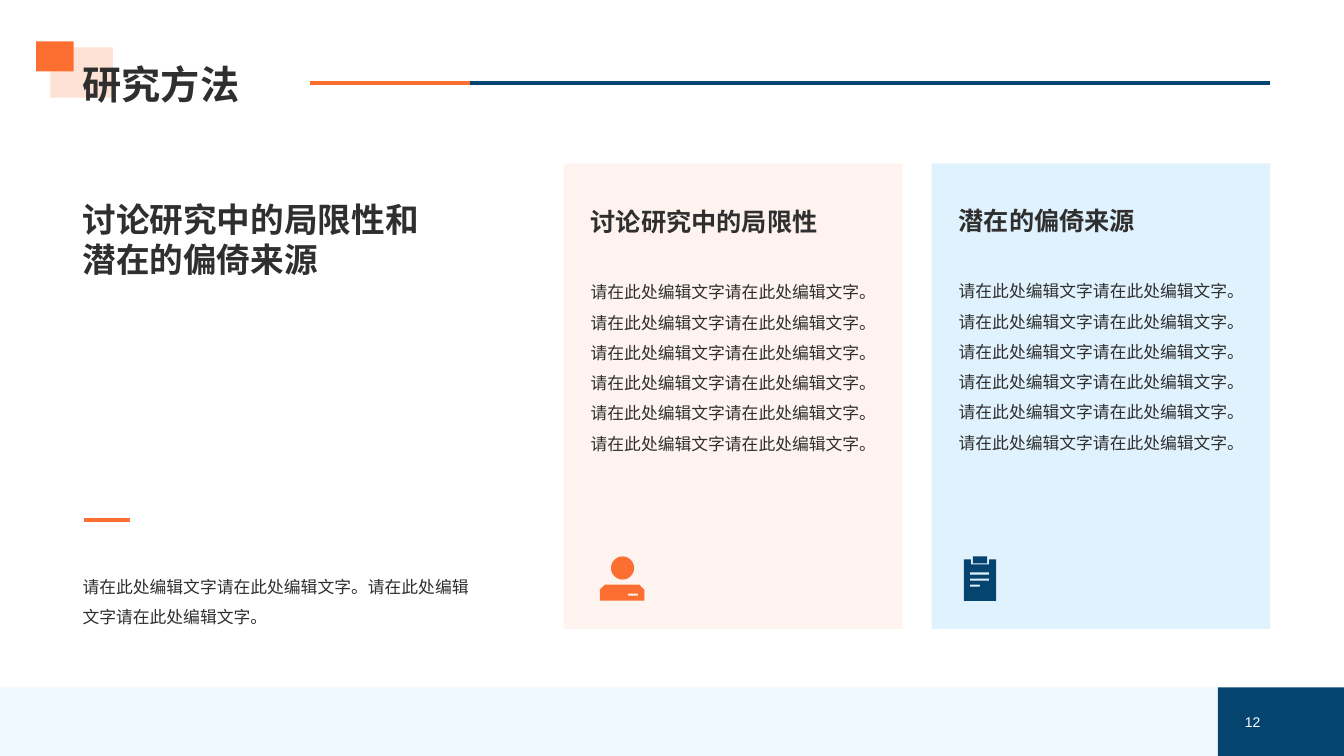
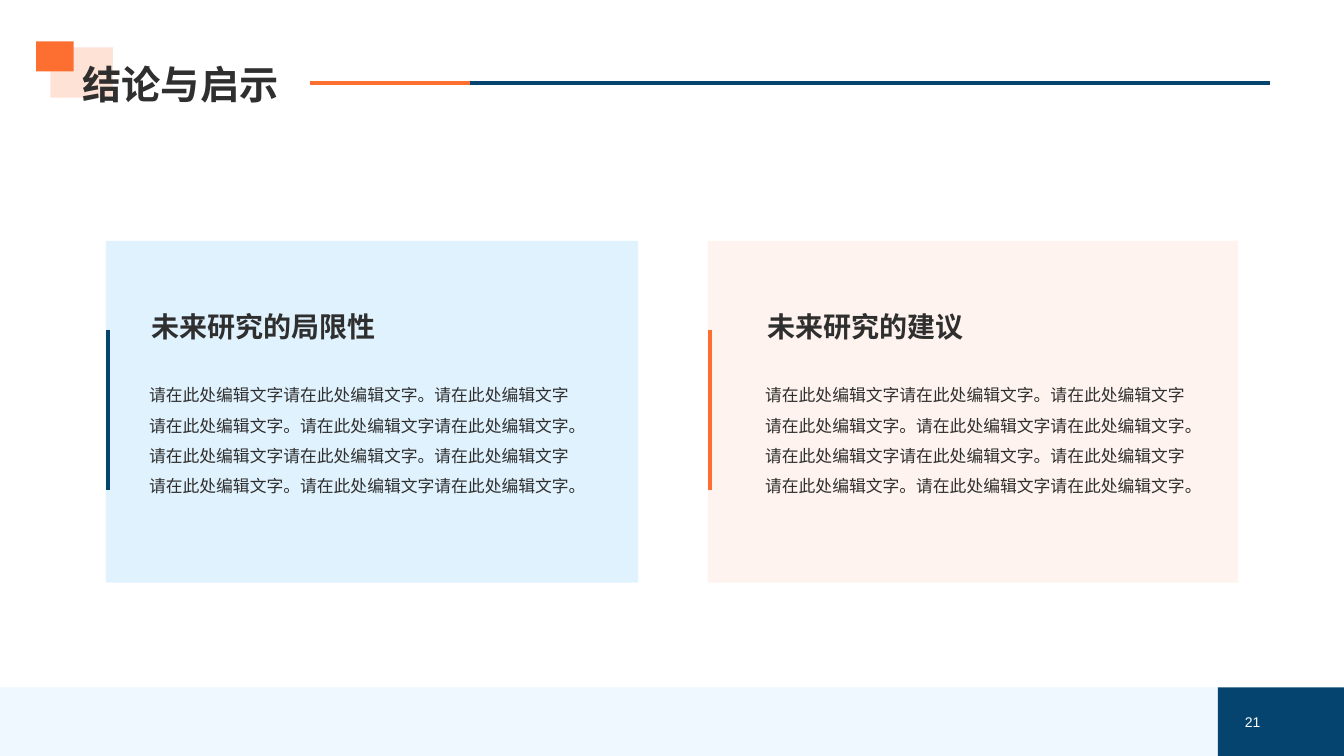
"""Build the research method and conclusion slides."""
from dataclasses import dataclass
from typing import NamedTuple

from lxml import etree
from pptx import Presentation
from pptx import util as u
from pptx.dml.color import RGBColor
from pptx.enum import lang, shapes, text
from pptx.oxml.ns import qn

PX = 9144
FILLER = "请在此处编辑文字请在此处编辑文字。"


class Box(NamedTuple):
    left: int
    top: int
    width: int
    height: int

    def emu(self) -> list[int]:
        return [u.Emu(n * PX) for n in self]


class Tone(NamedTuple):
    tint: str
    accent: str


@dataclass(frozen=True)
class Theme:
    face: str = "Arial"
    ink: str = "2F2F2F"
    white: str = "FFFFFF"
    navy: str = "04446E"
    orange: str = "FC6F30"
    sky: str = "B3DFFC"
    peach: str = "FEE2D6"
    title: int = 28
    lead: int = 24
    head: int = 20
    label: int = 18
    body: int = 12
    page: int = 10
    rule: int = 3
    faint: int = 20
    soft: int = 40


T = Theme()
BLUE = Tone(T.sky, T.navy)
WARM = Tone(T.peach, T.orange)


@dataclass(frozen=True)
class Card:
    tone: Tone
    panel: Box
    head: str
    size: int
    label: Box
    body: Box
    paras: tuple[str, ...]


METHOD = [
    Card(tone, Box(left, 162, 336, 462), head, T.label,
         Box(left + 17, top, 301, 40), Box(left + 17, top + 65, 301, 218),
         (FILLER * 3,) * 2)
    for tone, left, top, head in (
        (BLUE, 924, 199, "潜在的偏倚来源"),
        (WARM, 559, 200, "讨论研究中的局限性"),
    )
]
ENDING = [
    Card(tone, Box(left, 239, width, 339), head, T.head,
         Box(inset + 2, 302, room - 3, 44), Box(inset, 367, room, 158),
         (FILLER * 6,))
    for tone, left, width, inset, room, head in (
        (BLUE, 105, 528, 138, 441, "未来研究的局限性"),
        (WARM, 702, 526, 749, 448, "未来研究的建议"),
    )
]


def paint(shape, color: str, alpha: int = 100) -> None:
    """Give a shape a flat fill without line or shadow."""
    shape.shadow.inherit = False
    shape.line.fill.background()
    shape.fill.solid()
    shape.fill.fore_color.rgb = RGBColor.from_string(color)
    if alpha < 100:
        node = shape.element.spPr.find(".//" + qn("a:srgbClr"))
        etree.SubElement(node, qn("a:alpha")).set("val", str(alpha * 1000))


def block(slide, box: Box, color: str, alpha: int = 100,
          kind=shapes.MSO_SHAPE.RECTANGLE) -> None:
    """Draw a filled preset shape."""
    paint(slide.shapes.add_shape(kind, *box.emu()), color, alpha)


def rule(slide, start: tuple[int, int], end: tuple[int, int], color: str) -> None:
    """Draw a straight rule."""
    ends = [u.Emu(n * PX) for n in (*start, *end)]
    line = slide.shapes.add_connector(shapes.MSO_CONNECTOR.STRAIGHT, *ends)
    line.line.color.rgb = RGBColor.from_string(color)
    line.line.width = u.Pt(T.rule)
    etree.SubElement(line.element.spPr, qn("a:effectLst"))


def write(shape, paras: tuple[str, ...], size: int, color: str = T.ink,
          bold: bool = False, space: float = 1.0, align=text.PP_ALIGN.LEFT,
          anchor=text.MSO_ANCHOR.TOP) -> None:
    """Fill a text frame with evenly styled paragraphs."""
    frame = shape.text_frame
    frame.word_wrap = True
    frame.auto_size = text.MSO_AUTO_SIZE.NONE
    frame.vertical_anchor = anchor
    frame.text = "\n".join(paras)
    for para in frame.paragraphs:
        para.alignment = align
        para.line_spacing = space
        font = para.font
        font.size, font.bold, font.name = u.Pt(size), bold, T.face
        font.color.rgb = RGBColor.from_string(color)
        font.language_id = lang.MSO_LANGUAGE_ID.SIMPLIFIED_CHINESE
        style = para._p.pPr.find(qn("a:defRPr"))
        etree.SubElement(style, qn("a:ea")).set("typeface", T.face)


def note(slide, box: Box, *paras: str, **style) -> None:
    """Add a text box."""
    write(slide.shapes.add_textbox(*box.emu()), paras, **style)


def trace(slide, loops: list[list[tuple[int, int]]], color: str) -> None:
    """Draw one outline made of closed loops."""
    pen = slide.shapes.build_freeform(*loops[0][0], scale=PX)
    for turn, loop in enumerate(loops):
        if turn:
            pen.move_to(*loop[0])
        pen.add_line_segments(loop[1:], close=True)
    paint(pen.convert_to_shape(), color)


def ring(left: int, top: int, right: int, base: int) -> list[tuple[int, int]]:
    """Return the corners of a rectangle."""
    return [(right, top), (left, top), (left, base), (right, base)]


def frame(deck, title: str, page: int):
    """Add a slide with the shared bands, title and page number."""
    slide = deck.slides.add_slide(deck.slide_layouts[5])
    block(slide, Box(0, 682, 1208, 68), T.sky, T.faint)
    block(slide, Box(50, 47, 62, 50), T.orange, T.faint)
    block(slide, Box(1208, 682, 125, 68), T.navy)
    rule(slide, (466, 82), (1260, 82), T.navy)
    rule(slide, (307, 82), (466, 82), T.orange)
    block(slide, Box(36, 41, 37, 30), T.orange)
    head = slide.shapes.title
    head.left, head.top, head.width, head.height = Box(72, 0, 1188, 112).emu()
    write(head, (title,), T.title, bold=True, space=0.9,
          anchor=text.MSO_ANCHOR.BOTTOM)
    slide.shapes.element.append(head.element)
    note(slide, Box(969, 704, 291, 24), str(page), size=T.page, color=T.white,
         align=text.PP_ALIGN.RIGHT, anchor=text.MSO_ANCHOR.MIDDLE)
    return slide


def fill(slide, card: Card) -> None:
    """Draw a tinted card with its heading and body."""
    block(slide, card.panel, card.tone.tint, T.soft)
    note(slide, card.label, card.head, size=card.size, bold=True)
    note(slide, card.body, *card.paras, size=T.body, space=1.5)


def method(deck) -> None:
    """Build the method slide."""
    slide = frame(deck, "研究方法", 12)
    note(slide, Box(72, 192, 382, 91), "讨论研究中的局限性和潜在的偏倚来源",
         size=T.lead, bold=True)
    note(slide, Box(72, 557, 418, 67), FILLER * 2, size=T.body, space=1.5)
    rule(slide, (83, 516), (129, 516), T.orange)
    for card in METHOD:
        fill(slide, card)
    board = [(963, 555), (963, 560), (981, 560), (981, 555),
             (988, 555), (988, 596), (956, 596), (956, 555)]
    lines = [ring(962, top, right, top + 2)
             for top, right in ((568, 981), (574, 981), (580, 972))]
    trace(slide, [board, *lines, ring(965, 552, 979, 559)], T.navy)
    block(slide, Box(606, 552, 23, 23), T.orange, kind=shapes.MSO_SHAPE.OVAL)
    torso = [(634, 580), (600, 580), (595, 585),
             (595, 596), (639, 596), (639, 585)]
    trace(slide, [torso, ring(623, 589, 633, 591)], T.orange)


def ending(deck) -> None:
    """Build the conclusion slide."""
    slide = frame(deck, "结论与启示", 21)
    for card in ENDING:
        fill(slide, card)
        edge = card.panel.left + 2
        rule(slide, (edge, 327), (edge, 486), card.tone.accent)


def main() -> None:
    """Build and save the deck."""
    deck = Presentation()
    deck.slide_width, deck.slide_height = u.Inches(13.33), u.Inches(7.5)
    method(deck)
    ending(deck)
    deck.save("out.pptx")


if __name__ == "__main__":
    main()
